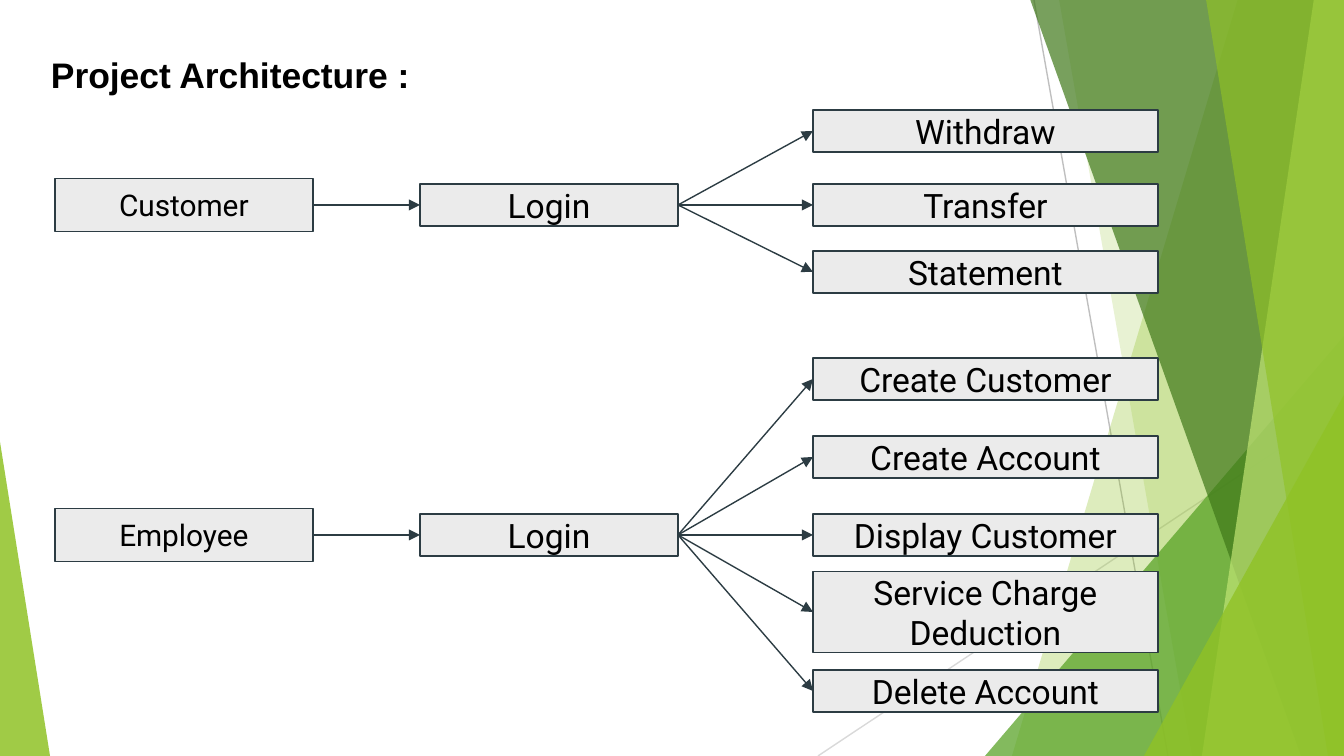
"""Build the project architecture slide with customer and employee flows."""
from lxml.etree import SubElement
from pptx import Presentation
from pptx.dml.color import RGBColor
from pptx.enum.shapes import MSO_CONNECTOR, MSO_SHAPE
from pptx.enum.text import MSO_ANCHOR, PP_ALIGN
from pptx.oxml.ns import qn
from pptx.util import Pt

PX = 914400 / 134.4
WIDTH, HEIGHT = 1344, 756
BLACK = RGBColor(0x00, 0x00, 0x00)
INK = RGBColor(0x2C, 0x3C, 0x43)
PANEL = RGBColor(0xEB, 0xEB, 0xEB)
SILVER = RGBColor(0xBF, 0xBF, 0xBF)
PALE = RGBColor(0xD9, 0xD9, 0xD9)
LIME = RGBColor(0x90, 0xC2, 0x26)
GREEN = RGBColor(0x54, 0xA0, 0x21)
FOREST = RGBColor(0x3F, 0x78, 0x19)
MINT = RGBColor(0xC0, 0xE4, 0x74)


def add_line(page, ends, colour, arrow=False):
    """Draw a thin straight line, with an arrowhead at its end if asked."""
    line = page.shapes.add_connector(
        MSO_CONNECTOR.STRAIGHT, *[round(value * PX) for value in ends])
    line.line.color.rgb = colour
    line.line.width = Pt(0.75)
    if arrow:
        SubElement(line.line._get_or_add_ln(), qn("a:tailEnd"), type="triangle")
    SubElement(line._element.spPr, qn("a:effectLst"))


def write(box, text, font, anchor, align):
    """Put one formatted paragraph in a box."""
    frame = box.text_frame
    inset = round(13 * PX)
    layout = {"word_wrap": True, "vertical_anchor": anchor,
              "margin_left": inset, "margin_right": inset,
              "margin_top": inset, "margin_bottom": inset}
    for name, value in layout.items():
        setattr(frame, name, value)
    para = frame.paragraphs[0]
    para.alignment = align
    span = para.add_run()
    span.text = text
    for name, value in font.items():
        setattr(span.font, name, value)
    span.font.color.rgb = BLACK


deck = Presentation()
deck.slide_width = round(WIDTH * PX)
deck.slide_height = round(HEIGHT * PX)
page = deck.slides.add_slide(deck.slide_layouts[6])

add_line(page, (1034, 0, 1168, HEIGHT), SILVER)
add_line(page, (WIDTH, 406, 818, HEIGHT), PALE)

bands = [
    ("band", (1238, 1012), LIME, 30),
    ("band", (1059, 1192), LIME, 20),
    ("right", (985, 336, 359, 420), GREEN, 72),
    ("band", (1030, 1301), FOREST, 70),
    ("band", (1314, 1202), MINT, 70),
    ("band", (1206, 1328), LIME, 65),
    ("right", (1144, 395, 200, 361), LIME, 80),
    ("left", (0, 442, 50, 314), LIME, 85),
]
for kind, place, colour, opacity in bands:
    if kind == "band":
        top, bottom = place
        outline = page.shapes.build_freeform(top, -1, scale=PX)
        outline.add_line_segments(
            [(WIDTH, -1), (WIDTH, HEIGHT), (bottom, HEIGHT)], close=True)
        facet = outline.convert_to_shape()
    else:
        facet = page.shapes.add_shape(
            MSO_SHAPE.ISOSCELES_TRIANGLE, *[round(value * PX) for value in place])
        facet.adjustments[0] = 1 if kind == "right" else 0
    facet.shadow.inherit = False
    facet.fill.solid()
    facet.fill.fore_color.rgb = colour
    facet.line.fill.background()
    tint = facet._element.spPr.find(qn("a:solidFill"))[0]
    SubElement(tint, qn("a:alpha"), val=str(opacity * 1000))

title = page.shapes.add_textbox(*[round(value * PX) for value in (38, 40, 430, 70)])
write(title, "Project Architecture :", {"name": "Arial", "size": Pt(19), "bold": True},
      MSO_ANCHOR.TOP, PP_ALIGN.LEFT)

ROLE_LEFT, LOGIN_LEFT, ACTION_LEFT = 55, 420, 813
STEP_WIDTH, ACTION_WIDTH = 258, 345
ROLE_HEIGHT, ROW_HEIGHT = 53, 42
flows = [
    ("Customer", 205, [("Withdraw", 131, ROW_HEIGHT), ("Transfer", 205, ROW_HEIGHT),
                       ("Statement", 272, ROW_HEIGHT)]),
    ("Employee", 535, [("Create Customer", 379, ROW_HEIGHT),
                       ("Create Account", 457, ROW_HEIGHT),
                       ("Display Customer", 535, ROW_HEIGHT),
                       ("Service Charge Deduction", 612, 81),
                       ("Delete Account", 691, ROW_HEIGHT)]),
]
for role, middle, actions in flows:
    boxes = [(role, ROLE_LEFT, middle, STEP_WIDTH, ROLE_HEIGHT, 16),
             ("Login", LOGIN_LEFT, middle, STEP_WIDTH, ROW_HEIGHT, 18)]
    boxes += [(action, ACTION_LEFT, centre, ACTION_WIDTH, height, 18)
              for action, centre, height in actions]
    for text, left, centre, width, height, size in boxes:
        place = (left, centre - height / 2, width, height)
        box = page.shapes.add_shape(
            MSO_SHAPE.RECTANGLE, *[round(value * PX) for value in place])
        box.shadow.inherit = False
        box.fill.solid()
        box.fill.fore_color.rgb = PANEL
        box.line.color.rgb = INK
        box.line.width = Pt(0.75)
        write(box, text, {"name": "Roboto", "size": Pt(size)},
              MSO_ANCHOR.MIDDLE, PP_ALIGN.CENTER)
    add_line(page, (ROLE_LEFT + STEP_WIDTH, middle, LOGIN_LEFT, middle), INK, True)
    for action, centre, height in actions:
        add_line(page, (LOGIN_LEFT + STEP_WIDTH, middle, ACTION_LEFT, centre), INK, True)

deck.save("out.pptx")
